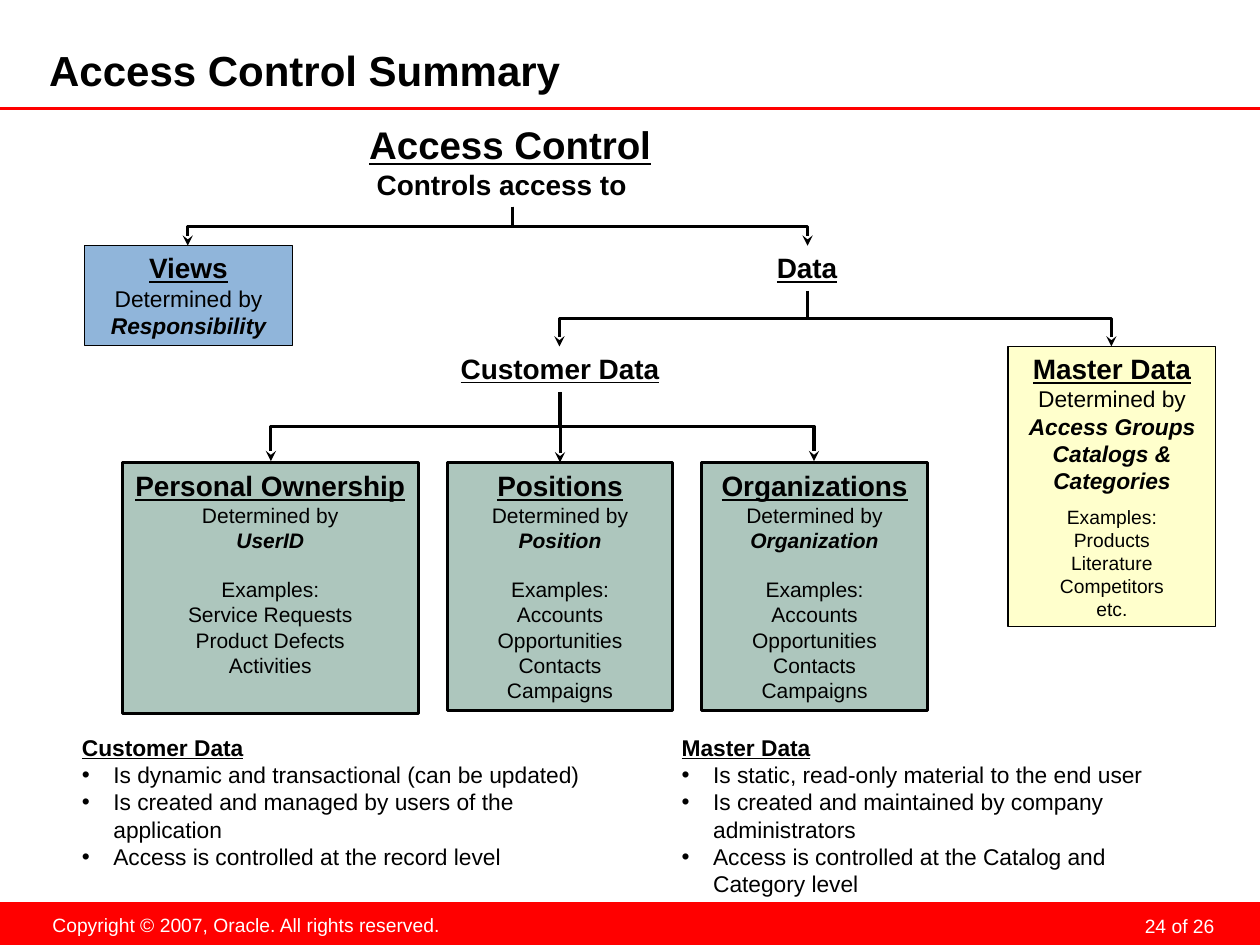
from lxml.etree import SubElement
from pptx import Presentation
from pptx.dml.color import RGBColor
from pptx.enum.shapes import MSO_CONNECTOR as Link, MSO_SHAPE as Preset
from pptx.enum.text import MSO_ANCHOR as Anchor, PP_ALIGN as Align
from pptx.oxml.ns import qn
from pptx.util import Inches, Pt


def paint(target, color):
    if hasattr(target, "solid"):
        target.solid()
        target.fore_color.rgb = RGBColor.from_string(color)
    else:
        target.rgb = RGBColor.from_string(color)


def write(box, lines, align, insets, wrap=True, anchor=Anchor.TOP, color="000000"):
    frame = box.text_frame
    layout = dict(word_wrap=wrap, vertical_anchor=anchor)
    sides = ("margin_left", "margin_top", "margin_right", "margin_bottom")
    layout.update(zip(sides, map(Inches, insets)))
    for name, value in layout.items():
        setattr(frame, name, value)
    for number, (text, style) in enumerate(lines):
        para = frame.add_paragraph() if number else frame.paragraphs[0]
        look = styles[style]
        props = para._p.get_or_add_pPr()
        for name, value in look.get("indent", {}).items():
            props.set(name, str(Inches(value)))
        if look.get("bullet"):
            SubElement(props, qn("a:buFont"), typeface="Arial")
            SubElement(props, qn("a:buChar"), char=look["bullet"])
        for name, value in dict(alignment=align, **look.get("para", {})).items():
            setattr(para, name, value)
        span = para.add_run()
        span.text = text
        for name, value in dict(name="Arial", **look["font"]).items():
            setattr(span.font, name, value)
        paint(span.font.color, color)


strong = dict(bold=True, underline=True)
slanted = dict(bold=True, italic=True)
hanging = dict(marL=0.25, indent=-0.25)
styles = {
    "title": dict(font=dict(size=Pt(24), bold=True)),
    "top": dict(font=dict(size=Pt(22), **strong)),
    "sub": dict(font=dict(size=Pt(16), bold=True), indent=dict(marL=0.06)),
    "head": dict(font=dict(size=Pt(16), **strong)),
    "plain": dict(font=dict(size=Pt(13))),
    "key": dict(font=dict(size=Pt(13), **slanted)),
    "body": dict(font=dict(size=Pt(12))),
    "owner": dict(font=dict(size=Pt(12), **slanted)),
    "examples": dict(font=dict(size=Pt(12)), para=dict(space_before=Pt(13.8))),
    "small": dict(font=dict(size=Pt(11))),
    "small examples": dict(font=dict(size=Pt(11)), para=dict(space_before=Pt(6))),
    "page": dict(font=dict(size=Pt(11)), para=dict(line_spacing=Pt(18))),
    "note head": dict(font=dict(size=Pt(13), **strong), indent=hanging),
    "note": dict(font=dict(size=Pt(13)), indent=hanging, bullet="•"),
}
narrow = (0.09, 0.04, 0.09, 0.04)
wide = (0.1, 0.05, 0.1, 0.05)

deck = Presentation()
deck.slide_width, deck.slide_height = Inches(10), Inches(7.5)
page = deck.slides.add_slide(deck.slide_layouts[6])

footer = page.shapes.add_shape(Preset.RECTANGLE, 0, Inches(7.16), Inches(10), Inches(0.34))
footer.shadow.inherit = False
paint(footer.fill, "FF0000")
footer.line.fill.background()

labels = [
    ((7.36, 7.19, 2.33, 0.25), "24 of 26", "page", Align.RIGHT,
     (0.05, 0, 0.05, 0), True, Anchor.TOP, "FFFFFF"),
    ((0.31, 7.2, 3.29, 0.29), "Copyright © 2007, Oracle. All rights reserved.", "small",
     Align.CENTER, wide, False, Anchor.TOP, "FFFFFF"),
    ((0.39, 0.38, 7.87, 0.4), "Access Control Summary", "title", Align.LEFT,
     (0, 0, 0.05, 0.05), True, Anchor.MIDDLE, "000000"),
    ((5.58, 1.95, 1.65, 0.36), "Data", "head", Align.CENTER,
     narrow, True, Anchor.TOP, "000000"),
]
for at, text, style, *layout in labels:
    write(page.shapes.add_textbox(*map(Inches, at)), [(text, style)], *layout)

customer = page.shapes.add_textbox(*map(Inches, (3.51, 2.75, 1.87, 0.36)))
write(customer, [("Customer Data", "head")], Align.CENTER, narrow)

heading = page.shapes.add_textbox(*map(Inches, (2.84, 0.92, 2.46, 0.72)))
write(heading, [("Access Control", "top"), ("Controls access to", "sub")], Align.LEFT, narrow)

notes = [
    ((0.56, 5.78, 4.42, 1.17), "Customer Data", [
        "Is dynamic and transactional (can be updated)",
        "Is created and managed by users of the application",
        "Access is controlled at the record level"]),
    ((5.32, 5.78, 4.24, 1.39), "Master Data", [
        "Is static, read-only material to the end user",
        "Is created and maintained by company administrators",
        "Access is controlled at the Catalog and Category level"]),
]
for at, head, points in notes:
    lines = [(head, "note head")] + [(point, "note") for point in points]
    write(page.shapes.add_textbox(*map(Inches, at)), lines, Align.LEFT, narrow)

cards = [
    ((0.67, 1.95, 1.65, 0.79), "90B5DA", 0.75, narrow, True, "Views",
     [("Determined by", "plain"), ("Responsibility", "key")]),
    ((8, 2.75, 1.65, 2.22), "FFFFCC", 0.75, narrow, True, "Master Data",
     [("Determined by", "plain"), ("Access Groups", "key"), ("Catalogs &", "key"),
      ("Categories", "key"), ("Examples:", "small examples")]
     + [(item, "small") for item in ("Products", "Literature", "Competitors", "etc.")]),
]
deals = ["Accounts", "Opportunities", "Contacts", "Campaigns"]
owners = [
    ((0.97, 3.67, 2.35, 1.99), "Personal Ownership", "UserID",
     ["Service Requests", "Product Defects", "Activities"]),
    ((5.57, 3.67, 1.79, 1.97), "Organizations", "Organization", deals),
    ((3.55, 3.67, 1.79, 1.97), "Positions", "Position", deals),
]
for at, head, key, items in owners:
    lines = [("Determined by", "body"), (key, "owner"), ("Examples:", "examples")]
    lines += [(item, "body") for item in items]
    cards.append((at, "ADC6BD", 1.75, wide, False, head, lines))

for at, fill, width, insets, wrap, head, lines in cards:
    card = page.shapes.add_shape(Preset.RECTANGLE, *map(Inches, at))
    card.shadow.inherit = False
    paint(card.fill, fill)
    paint(card.line.fill, "000000")
    card.line.width = Pt(width)
    write(card, [(head, "head")] + lines, Align.CENTER, insets, wrap)
positions = card

rule = page.shapes.add_connector(Link.STRAIGHT, 0, Inches(0.86), Inches(10), Inches(0.86))
arrow = page.shapes.add_connector(Link.STRAIGHT, 0, 0, 0, 0)
arrow.begin_connect(customer, 2)
arrow.end_connect(positions, 0)
arrows = [arrow]

branches = [
    (4.07, 1.64, 1.95, (1.49, 6.41)),
    (6.41, 2.31, 2.75, (4.44, 8.82)),
    (4.44, 3.11, 3.66, (2.15, 6.46)),
]
for start, top, bottom, ends in branches:
    for end in ends:
        across, down = (start + end) / 2, (top + bottom) / 2
        half_span = abs(end - start) / 2
        turn = 90 if end < start else 270
        half_drop = (bottom - top) / 2 * (1 if end < start else -1)
        corners = (across - half_drop, down - half_span, across + half_drop, down + half_span)
        elbow = page.shapes.add_connector(Link.ELBOW, *map(Inches, corners))
        elbow._element.spPr.find(qn("a:xfrm")).set("rot", str(turn * 60000))
        arrows.append(elbow)

for line in [rule] + arrows:
    paint(line.line.fill, "FF0000" if line is rule else "000000")
    line.line.width = Pt(1.75)
    if line is not rule:
        SubElement(line.line._get_or_add_ln(), qn("a:tailEnd"), type="stealth")
    SubElement(line._element.spPr, qn("a:effectLst"))

deck.save("out.pptx")
